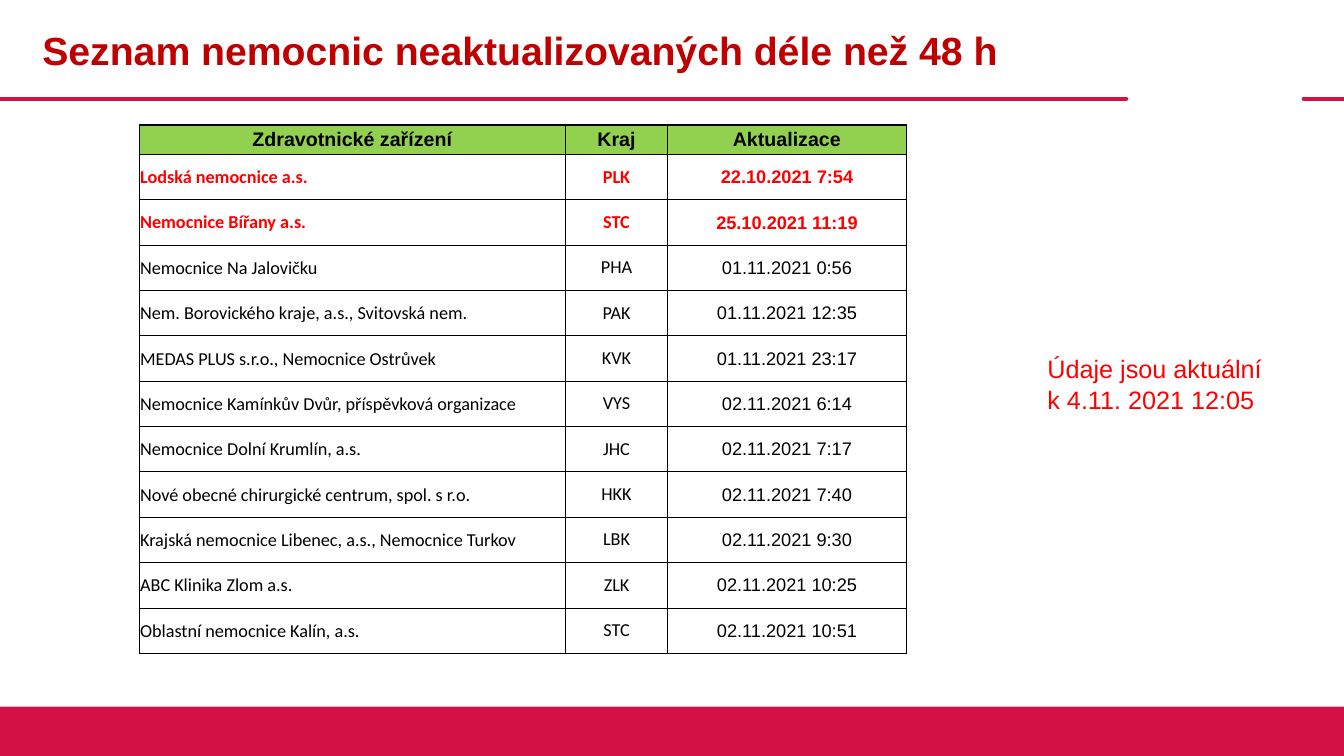
from dataclasses import dataclass

from lxml import etree
from pptx import Presentation
from pptx.dml.color import RGBColor
from pptx.enum.shapes import MSO_CONNECTOR, MSO_SHAPE
from pptx.enum.text import MSO_ANCHOR, MSO_AUTO_SIZE, PP_ALIGN
from pptx.oxml.ns import qn
from pptx.util import Inches, Pt

LEFT, CENTER = PP_ALIGN.LEFT, PP_ALIGN.CENTER
TOP, MIDDLE = MSO_ANCHOR.TOP, MSO_ANCHOR.MIDDLE
STRAIGHT, RECTANGLE = MSO_CONNECTOR.STRAIGHT, MSO_SHAPE.RECTANGLE

COLORS = {
    "brand": "D31145",
    "title": "C00000",
    "alert": "FF0000",
    "text": "000000",
    "header": "92D050",
}
PAGE_WIDTH, PAGE_HEIGHT = 13.33, 7.5
RULE_TOP, FOOTER_TOP = 0.98, 7.01
HEADER_HEIGHT, ROW_HEIGHT = 0.29, 0.45


@dataclass
class Style:
    size: float
    font: str
    color: str
    bold: bool = False


@dataclass
class Column:
    heading: str
    width: float
    font: str
    align: PP_ALIGN
    padding: float = 0.01


@dataclass
class Hospital:
    name: str
    region: str
    updated: str
    overdue: bool = False


COLUMNS = [
    Column("Zdravotnické zařízení", 4.23, "Calibri", LEFT),
    Column("Kraj", 1.01, "Calibri", CENTER, 0.08),
    Column("Aktualizace", 2.37, "Arial", CENTER),
]
HOSPITALS = [
    Hospital("Lodská nemocnice a.s.", "PLK", "22.10.2021 7:54", True),
    Hospital("Nemocnice Bířany a.s.", "STC", "25.10.2021 11:19", True),
    Hospital("Nemocnice Na Jalovičku", "PHA", "01.11.2021 0:56"),
    Hospital("Nem. Borovického kraje, a.s., Svitovská nem.", "PAK", "01.11.2021 12:35"),
    Hospital("MEDAS PLUS s.r.o., Nemocnice Ostrůvek", "KVK", "01.11.2021 23:17"),
    Hospital("Nemocnice Kamínkův Dvůr, příspěvková organizace", "VYS", "02.11.2021 6:14"),
    Hospital("Nemocnice Dolní Krumlín, a.s.", "JHC", "02.11.2021 7:17"),
    Hospital("Nové obecné chirurgické centrum, spol. s r.o.", "HKK", "02.11.2021 7:40"),
    Hospital("Krajská nemocnice Libenec, a.s., Nemocnice Turkov", "LBK", "02.11.2021 9:30"),
    Hospital("ABC Klinika Zlom a.s.", "ZLK", "02.11.2021 10:25"),
    Hospital("Oblastní nemocnice Kalín, a.s.", "STC", "02.11.2021 10:51"),
]


def rgb(name: str) -> RGBColor:
    return RGBColor.from_string(COLORS[name])


def add_span(para, text: str, style: Style) -> None:
    span = para.add_run()
    span.text = text
    span.font.size = Pt(style.size)
    span.font.name = style.font
    span.font.bold = style.bold
    span.font.color.rgb = rgb(style.color)


def add_title(page, text: str) -> None:
    title = page.shapes.title
    title.left, title.top = Inches(0.32), Inches(0.26)
    title.width, title.height = Inches(10.81), Inches(0.98)
    frame = title.text_frame
    frame.word_wrap = True
    frame.auto_size = MSO_AUTO_SIZE.NONE
    frame.vertical_anchor = TOP
    para = frame.paragraphs[0]
    para.alignment = LEFT
    para.line_spacing = 0.9
    add_span(para, text, Style(28, "Arial", "title", True))


def add_rule(page, start: float, end: float) -> None:
    rule = page.shapes.add_connector(
        STRAIGHT, Inches(start), Inches(RULE_TOP), Inches(end), Inches(RULE_TOP))
    rule.line.color.rgb = rgb("brand")
    rule.line.width = Pt(3)
    properties = rule._element.spPr
    properties.find(qn("a:ln")).set("cap", "rnd")
    etree.SubElement(properties, qn("a:effectLst"))


def add_footer(page) -> None:
    footer = page.shapes.add_shape(
        RECTANGLE, 0, Inches(FOOTER_TOP),
        Inches(PAGE_WIDTH), Inches(PAGE_HEIGHT - FOOTER_TOP))
    footer.shadow.inherit = False
    footer.fill.solid()
    footer.fill.fore_color.rgb = rgb("brand")
    footer.line.fill.background()


def add_note(page, text: str) -> None:
    box = page.shapes.add_textbox(Inches(10.29), Inches(3.46), Inches(2.41), Inches(0.71))
    box.text_frame.word_wrap = True
    add_span(box.text_frame.paragraphs[0], text, Style(18, "Arial", "alert"))


def set_borders(cell, widths: dict[str, float]) -> None:
    """Draw cell edges; widths maps L, R, T, B, in that order, to points."""
    properties = cell._tc.get_or_add_tcPr()
    for position, (side, width) in enumerate(widths.items()):
        edge = etree.Element(qn(f"a:ln{side}"), w=str(Pt(width)))
        fill = etree.SubElement(edge, qn("a:solidFill"))
        etree.SubElement(fill, qn("a:srgbClr"), val=COLORS["text"])
        properties.insert(position, edge)


def fill_cell(cell, text: str, style: Style, align: PP_ALIGN, padding: float) -> None:
    cell.vertical_anchor = MIDDLE
    cell.margin_left = cell.margin_right = Inches(0.01)
    cell.margin_top = Inches(padding)
    cell.margin_bottom = Inches(padding if padding > 0.01 else 0)
    para = cell.text_frame.paragraphs[0]
    para.alignment = align
    add_span(para, text, style)


def add_hospital_table(page) -> None:
    last_row, last_column = len(HOSPITALS), len(COLUMNS) - 1
    table = page.shapes.add_table(
        last_row + 1, len(COLUMNS), Inches(1.38), Inches(1.24),
        Inches(sum(column.width for column in COLUMNS)),
        Inches(HEADER_HEIGHT + ROW_HEIGHT * last_row)).table
    table.first_row = table.horz_banding = False
    for index, row in enumerate(table.rows):
        row.height = Inches(ROW_HEIGHT if index else HEADER_HEIGHT)

    for c, column in enumerate(COLUMNS):
        table.columns[c].width = Inches(column.width)
        heading = table.cell(0, c)
        fill_cell(heading, column.heading, Style(14, "Arial", "text", True), CENTER, 0.01)
        heading.fill.solid()
        heading.fill.fore_color.rgb = rgb("header")
        for r, hospital in enumerate(HOSPITALS, 1):
            value = (hospital.name, hospital.region, hospital.updated)[c]
            color = "alert" if hospital.overdue else "text"
            cell = table.cell(r, c)
            fill_cell(cell, value, Style(13, column.font, color, hospital.overdue),
                      column.align, column.padding)
            cell.fill.background()
        for r in range(last_row + 1):
            set_borders(table.cell(r, c), {
                "L": 1 if c == 0 else 0.5,
                "R": 1 if c == last_column else 0.5,
                "T": 1 if r <= 1 else 0.5,
                "B": 1 if r in (0, last_row) else 0.5,
            })


def main() -> None:
    deck = Presentation()
    deck.slide_width, deck.slide_height = Inches(PAGE_WIDTH), Inches(PAGE_HEIGHT)
    page = deck.slides.add_slide(deck.slide_layouts.get_by_name("Title Only"))
    add_rule(page, 0, 11.17)
    add_rule(page, 12.93, PAGE_WIDTH)
    add_footer(page)
    add_title(page, "Seznam nemocnic neaktualizovaných déle než 48 h")
    add_note(page, "Údaje jsou aktuální k 4.11. 2021 12:05")
    add_hospital_table(page)
    deck.save("out.pptx")


if __name__ == "__main__":
    main()
